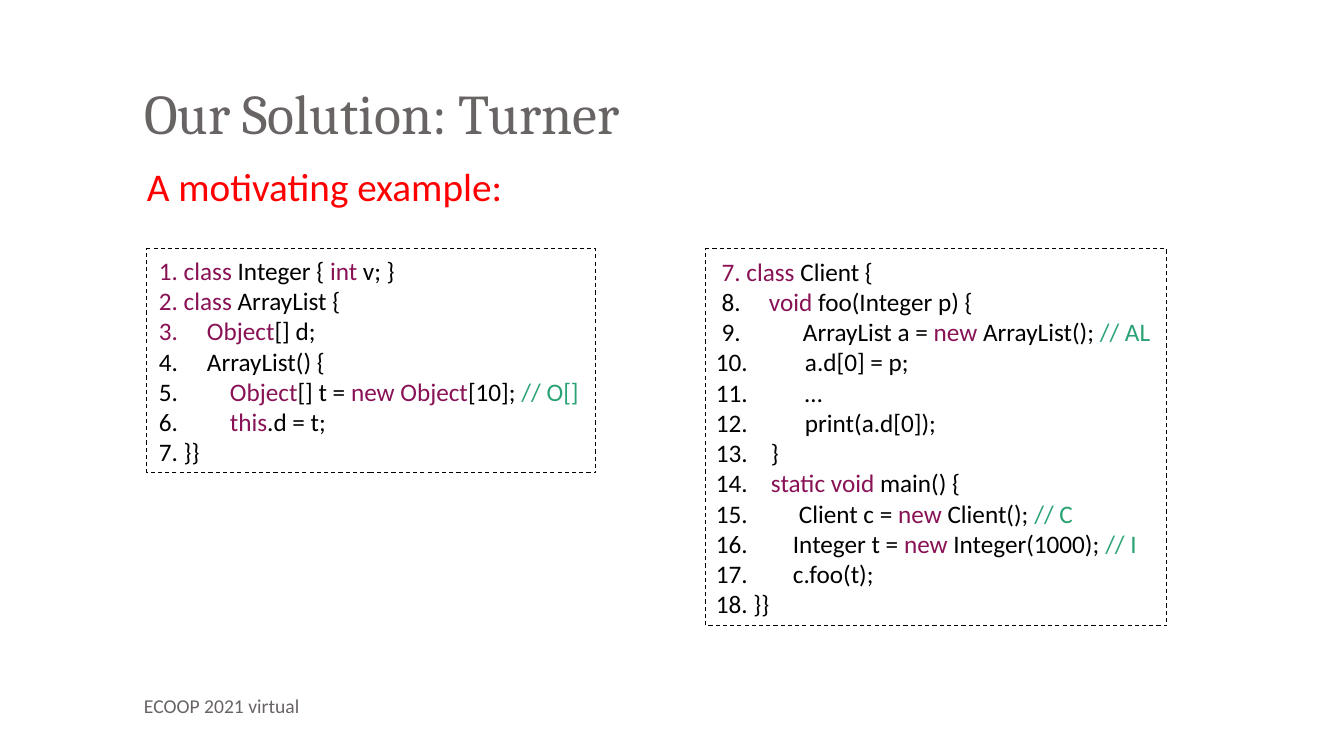
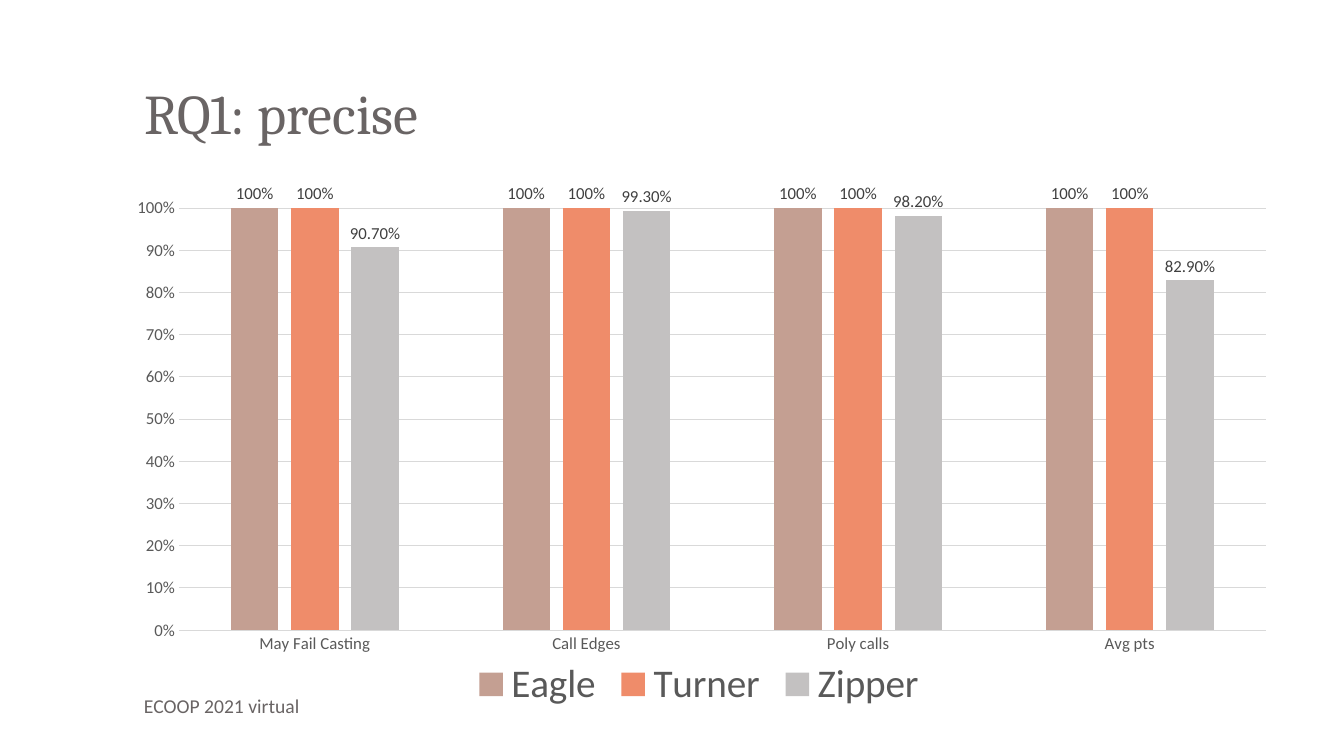
from lxml import etree
from pptx import Presentation
from pptx.chart.data import CategoryChartData
from pptx.dml.color import RGBColor
from pptx.enum.chart import XL_CHART_TYPE, XL_LABEL_POSITION, XL_LEGEND_POSITION, XL_TICK_MARK
from pptx.enum.dml import MSO_LINE
from pptx.enum.shapes import MSO_SHAPE
from pptx.enum.text import MSO_ANCHOR, MSO_AUTO_SIZE, PP_ALIGN
from pptx.oxml.ns import qn
from pptx.util import Emu, Pt

CLUSTERED = XL_CHART_TYPE.COLUMN_CLUSTERED
OUTSIDE_END = XL_LABEL_POSITION.OUTSIDE_END
LEGEND_BOTTOM = XL_LEGEND_POSITION.BOTTOM
NO_TICK = XL_TICK_MARK.NONE
DASH = MSO_LINE.DASH
RECT = MSO_SHAPE.RECTANGLE
MIDDLE, BOTTOM = MSO_ANCHOR.MIDDLE, MSO_ANCHOR.BOTTOM
LEFT = PP_ALIGN.LEFT
NO_FIT = MSO_AUTO_SIZE.NONE

# ---- Shared look: 1344 x 756 px slide ----
EMU_PER_PX = 914400 / 100.8
SLIDE_SIZE = (1344, 756)
TITLE_BOX = (134, 30, 1142, 126)
FOOTER_BOX = (134, 681, 583, 50)
BODY_FONT, TITLE_FONT = "Calibri", "Cambria"
COLORS = {
    "muted": "696464", "ink": "000000", "key": "881255", "note": "2AA274",
    "accent": "FF0000", "axis": "595959", "grid": "D9D9D9", "label": "404040",
    "eagle": "C49F92", "turner": "EF8C6A", "zipper": "C3C1C1",
}
FOOTER = "ECOOP 2021 virtual"

# ---- Slide 1 content: each code line is (tab stop in px, runs) ----
EXAMPLE_TITLE = "Our Solution: Turner"
EXAMPLE_HEADING = "A motivating example:"
HEADING_BOX = (137, 157, 380, 57)
LIBRARY_BOX = (147, 249, 449, 224)
LIBRARY_INSET = 12
LIBRARY_CODE = [
    (0, [("key", "1. class"), ("ink", " Integer { "), ("key", "int"), ("ink", " v; }")]),
    (0, [("key", "2. class "), ("ink", "ArrayList {")]),
    (48, [("key", "3.\tObject"), ("ink", "[] d;")]),
    (48, [("ink", "4.\tArrayList() {")]),
    (71, [("ink", "5.\t"), ("key", "Object"), ("ink", "[] t = "), ("key", "new Object"),
          ("ink", "[10]; "), ("note", "// O[]")]),
    (71, [("ink", "6.\t"), ("key", "this"), ("ink", ".d = t;")]),
    (0, [("ink", "7. }}")]),
]
CLIENT_BOX = (706, 249, 461, 377)
CLIENT_INSET = 10
CLIENT_CODE = [
    (0, [("key", " 7. class"), ("ink", " Client {")]),
    (53, [("ink", " 8.\t"), ("key", "void"), ("ink", " foo(Integer p) {")]),
    (87, [("ink", " 9.\tArrayList a = "), ("key", "new "), ("ink", "ArrayList(); "),
          ("note", "// AL")]),
    (89, [("ink", "10.\ta.d[0] = p;")]),
    (89, [("ink", "11.\t…")]),
    (89, [("ink", "12.\tprint(a.d[0]);")]),
    (55, [("ink", "13.\t}")]),
    (55, [("ink", "14.\t"), ("key", "static void "), ("ink", "main() {")]),
    (83, [("ink", "15.\tClient c = "), ("key", "new"), ("ink", " Client(); "),
          ("note", "// C")]),
    (77, [("ink", "16.\tInteger t = "), ("key", "new"), ("ink", " Integer(1000); "),
          ("note", "// I")]),
    (77, [("ink", "17.\tc.foo(t);")]),
    (0, [("ink", "18. }}")]),
]

# ---- Slide 2 content: name, colour, label format, values ----
PRECISION_TITLE = "RQ1: precise"
CHART_BOX = (116, 156, 1166, 560)
PLOT_LAYOUT = {"x": 0.054, "y": 0.093, "w": 0.932, "h": 0.754}
METRICS = ["May Fail Casting", "Call Edges", "Poly calls", "Avg pts"]
ANALYSES = [
    ("Eagle", "eagle", "0%", (1, 1, 1, 1)),
    ("Turner", "turner", "0%", (1, 1, 1, 1)),
    ("Zipper", "zipper", "0.00%", (0.907, 0.993, 0.982, 0.829)),
]


def px(length):
    return Emu(round(length * EMU_PER_PX))


def place(box):
    return [px(length) for length in box]


def rgb(color):
    return RGBColor.from_string(COLORS[color])


def style_font(font, size, color, name=BODY_FONT):
    font.size, font.name = Pt(size), name
    font.color.rgb = rgb(color)


def add_run(paragraph, text, size, color, name=BODY_FONT):
    run = paragraph.add_run()
    run.text = text
    style_font(run.font, size, color, name)


def add_label(slide, box, text, size, color, wrap=True):
    frame = slide.shapes.add_textbox(*place(box)).text_frame
    frame.word_wrap = wrap
    frame.vertical_anchor = MIDDLE
    add_run(frame.paragraphs[0], text, size, color)


def add_titled_slide(deck, text):
    slide = deck.slides.add_slide(deck.slide_layouts[5])
    title = slide.shapes.title
    title.left, title.top, title.width, title.height = place(TITLE_BOX)
    frame = title.text_frame
    frame.auto_size = NO_FIT
    frame.vertical_anchor = BOTTOM
    frame.margin_bottom = px(10)
    paragraph = frame.paragraphs[0]
    paragraph.alignment = LEFT
    add_run(paragraph, text, 40, "muted", TITLE_FONT)
    add_label(slide, FOOTER_BOX, FOOTER, 14, "muted")
    return slide


def set_tab(paragraph, position):
    stops = etree.SubElement(paragraph._p.get_or_add_pPr(), qn("a:tabLst"))
    etree.SubElement(stops, qn("a:tab"), pos=str(px(position)), algn="l")


def add_code(slide, box, inset, lines, wrap):
    panel = slide.shapes.add_shape(RECT, *place(box))
    panel.shadow.inherit = False
    panel.fill.background()
    panel.line.color.rgb = rgb("ink")
    panel.line.width = Pt(0.75)
    panel.line.dash_style = DASH
    frame = panel.text_frame
    frame.word_wrap = wrap
    frame.vertical_anchor = MIDDLE
    frame.margin_left = px(inset)
    for number, (tab, runs) in enumerate(lines):
        paragraph = frame.add_paragraph() if number else frame.paragraphs[0]
        paragraph.alignment = LEFT
        if tab:
            set_tab(paragraph, tab)
        for color, text in runs:
            add_run(paragraph, text, 18, color)


def set_plot_layout(chart):
    area = chart._chartSpace.chart.plotArea
    for old in area.findall(qn("c:layout")):
        area.remove(old)
    layout = etree.Element(qn("c:layout"))
    manual = etree.SubElement(layout, qn("c:manualLayout"))
    settings = {"layoutTarget": "inner", "xMode": "edge", "yMode": "edge", **PLOT_LAYOUT}
    for tag, value in settings.items():
        etree.SubElement(manual, qn(f"c:{tag}"), val=str(value))
    area.insert(0, layout)


def style_line(line, color):
    line.color.rgb = rgb(color)
    line.width = Pt(0.75)


def add_precision_chart(slide):
    data = CategoryChartData()
    data.categories = METRICS
    for name, _, label_format, values in ANALYSES:
        data.add_series(name, values, label_format)
    chart = slide.shapes.add_chart(CLUSTERED, *place(CHART_BOX), data).chart
    style_font(chart.font, 10, "ink")
    chart.has_title = False

    # Axes
    for axis in (chart.category_axis, chart.value_axis):
        axis.major_tick_mark = axis.minor_tick_mark = NO_TICK
        style_font(axis.tick_labels.font, 12, "axis")
    style_line(chart.category_axis.format.line, "grid")
    scale = chart.value_axis
    scale.minimum_scale, scale.maximum_scale, scale.major_unit = 0, 1, 0.1
    scale.tick_labels.number_format = "0%"
    scale.tick_labels.number_format_is_linked = False
    scale.format.line.fill.background()
    style_line(scale.major_gridlines.format.line, "grid")

    # Columns and their labels
    plot = chart.plots[0]
    plot.gap_width, plot.overlap = 219, -27
    plot.vary_by_categories = False
    for columns, (_, color, label_format, _) in zip(plot.series, ANALYSES):
        columns.format.fill.solid()
        columns.format.fill.fore_color.rgb = rgb(color)
        labels = columns.data_labels
        labels.show_value = True
        labels.position = OUTSIDE_END
        labels.number_format = label_format
        labels.number_format_is_linked = False
        style_font(labels.font, 12, "label")

    # Legend
    chart.has_legend = True
    chart.legend.position = LEGEND_BOTTOM
    chart.legend.include_in_layout = False
    style_font(chart.legend.font, 28, "axis")
    set_plot_layout(chart)


def main():
    deck = Presentation()
    deck.slide_width, deck.slide_height = place(SLIDE_SIZE)

    example = add_titled_slide(deck, EXAMPLE_TITLE)
    add_code(example, LIBRARY_BOX, LIBRARY_INSET, LIBRARY_CODE, wrap=True)
    add_code(example, CLIENT_BOX, CLIENT_INSET, CLIENT_CODE, wrap=False)
    add_label(example, HEADING_BOX, EXAMPLE_HEADING, 28, "accent", wrap=False)

    add_precision_chart(add_titled_slide(deck, PRECISION_TITLE))
    deck.save("out.pptx")


if __name__ == "__main__":
    main()
